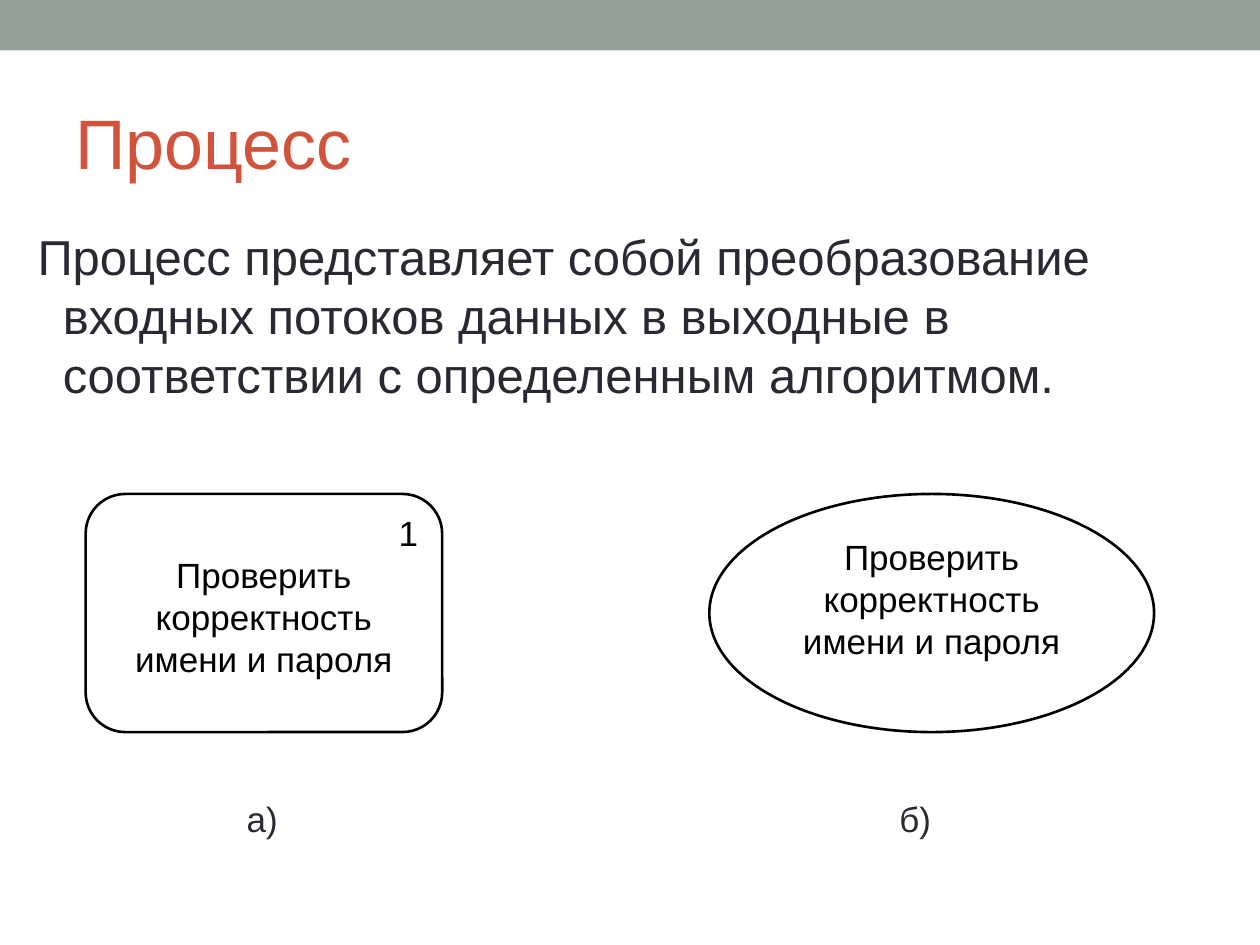
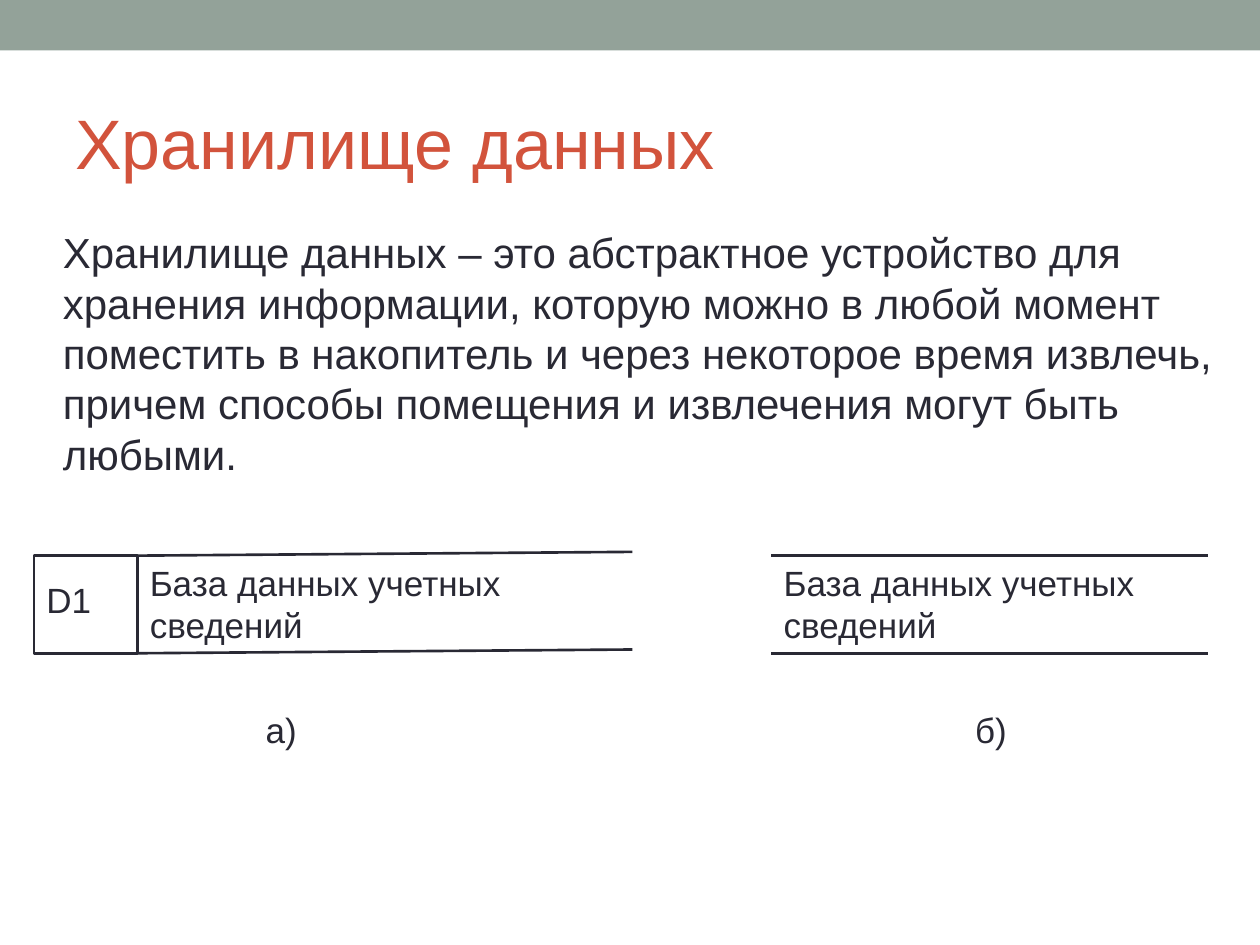
from lxml import etree
from pptx import Presentation
from pptx import util as u
from pptx.dml.color import RGBColor
from pptx.enum import shapes, text
from pptx.oxml.ns import qn

# Grid: 100 columns by 75 rows; boxes are (column, row, columns, rows)
COLUMNS, ROWS = 100, 75
CELL = u.Inches(0.1)

FONT = "Arial"
BAND, ACCENT, INK, BLACK, WHITE = "93A299", "D2533C", "292934", "000000", "FFFFFF"
LABEL_SIZE, LINE_WIDTH = 20, 1.5
LEFT, CENTER, RIGHT = text.PP_ALIGN.LEFT, text.PP_ALIGN.CENTER, text.PP_ALIGN.RIGHT


def color(hex_string):
    return RGBColor.from_string(hex_string)


def grid(*cells):
    return [u.Emu(round(cell * CELL)) for cell in cells]


def write(frame, lines, size=LABEL_SIZE, ink=INK, anchor=text.MSO_ANCHOR.TOP):
    """Fill a frame with (wording, alignment) paragraphs."""
    frame.word_wrap = True
    frame.vertical_anchor = anchor
    for number, (wording, align) in enumerate(lines):
        paragraph = frame.add_paragraph() if number else frame.paragraphs[0]
        paragraph.text = wording
        paragraph.alignment = align
        paragraph.font.name, paragraph.font.size = FONT, u.Pt(size)
        paragraph.font.color.rgb = color(ink)
    return frame


def add_text(slide, box, wording, **style):
    frame = slide.shapes.add_textbox(*grid(*box)).text_frame
    return write(frame, [(wording, LEFT)], **style)


def add_figure(slide, kind, box, fill=None, outline=None):
    figure = slide.shapes.add_shape(kind, *grid(*box))
    figure.shadow.inherit = False
    if fill:
        figure.fill.solid()
        figure.fill.fore_color.rgb = color(fill)
    else:
        figure.fill.background()
    if outline:
        figure.line.color.rgb = color(outline)
        figure.line.width = u.Pt(LINE_WIDTH)
    else:
        figure.line.fill.background()
    return figure


def add_rule(slide, start, end):
    rule = slide.shapes.add_connector(shapes.MSO_CONNECTOR.STRAIGHT, *grid(*start, *end))
    rule.line.color.rgb = color(INK)
    rule.line.width = u.Pt(LINE_WIDTH)
    etree.SubElement(rule._element.spPr, qn("a:effectLst"))


def add_definition_slide(deck, title, definition, size, rows, hanging):
    """Band, title and definition shared by both slides."""
    slide = deck.slides.add_slide(deck.slide_layouts[6])
    add_figure(slide, shapes.MSO_SHAPE.RECTANGLE, (0, 0, COLUMNS, 4), fill=BAND)
    add_text(slide, (5, 5.8, 90, 10.8), title, size=40, ink=ACCENT,
             anchor=text.MSO_ANCHOR.MIDDLE)
    body = add_text(slide, (2, 17.5, 96.1, rows), definition, size=size)
    properties = body.paragraphs[0]._p.get_or_add_pPr()
    indent = u.Inches(0.2)
    properties.set("marL", str(indent))
    properties.set("indent", str(-indent if hanging else 0))
    return slide


def add_process(slide, kind, box, lines):
    figure = add_figure(slide, kind, box, fill=WHITE, outline=BLACK)
    write(figure.text_frame, lines, ink=BLACK)


def add_store(slide, box, wording, rule_length, rise=0, tag=None, tag_columns=0):
    """Open-ended store: optional tag cell, wording, rules above and below."""
    left, top, width, height = box
    if tag:
        cell = add_figure(slide, shapes.MSO_SHAPE.RECTANGLE,
                          (left, top, tag_columns, height), outline=INK)
        write(cell.text_frame, [(tag, LEFT)]).margin_top = u.Inches(0.18)
    start = left + tag_columns
    for row in (top, top + height):
        add_rule(slide, (start, row), (start + rule_length, row - rise))
    add_text(slide, (start, top, width - tag_columns, height), wording)


def add_captions(slide, columns, row, width, height):
    for column, wording in zip(columns, ("а)", "б)")):
        add_text(slide, (column, row, width, height), wording)


def build_process_slide(deck):
    slide = add_definition_slide(
        deck, "Процесс",
        "Процесс представляет собой преобразование входных потоков данных "
        "в выходные в соответствии с определенным алгоритмом.",
        size=28, rows=16.1, hanging=True)
    action = ("Проверить корректность имени и пароля", CENTER)
    add_process(slide, shapes.MSO_SHAPE.ROUNDED_RECTANGLE, (6.8, 39.2, 28.3, 18.9),
                [("1", RIGHT), action])
    add_process(slide, shapes.MSO_SHAPE.OVAL, (56.3, 39.2, 35.3, 18.9), [action])
    add_captions(slide, (18.6, 70.4), 62.8, 7.1, 7.1)


def build_store_slide(deck):
    slide = add_definition_slide(
        deck, "Хранилище данных",
        "Хранилище данных – это абстрактное устройство для хранения информации, "
        "которую можно в любой момент поместить в накопитель и через некоторое "
        "время извлечь, причем способы помещения и извлечения могут быть любыми.",
        size=24, rows=23.9, hanging=False)
    content = "База данных учетных сведений"
    add_store(slide, (2.7, 44.1, 45.3, 7.75), content, rule_length=39.3, rise=0.3,
              tag="D1", tag_columns=8.2)
    add_store(slide, (61.2, 44.1, 36.8, 7.75), content, rule_length=34.7)
    add_captions(slide, (20.1, 76.4), 55.7, 6.5, 11.7)


def main():
    deck = Presentation()
    deck.slide_width, deck.slide_height = grid(COLUMNS, ROWS)
    build_process_slide(deck)
    build_store_slide(deck)
    deck.save("out.pptx")


if __name__ == "__main__":
    main()
